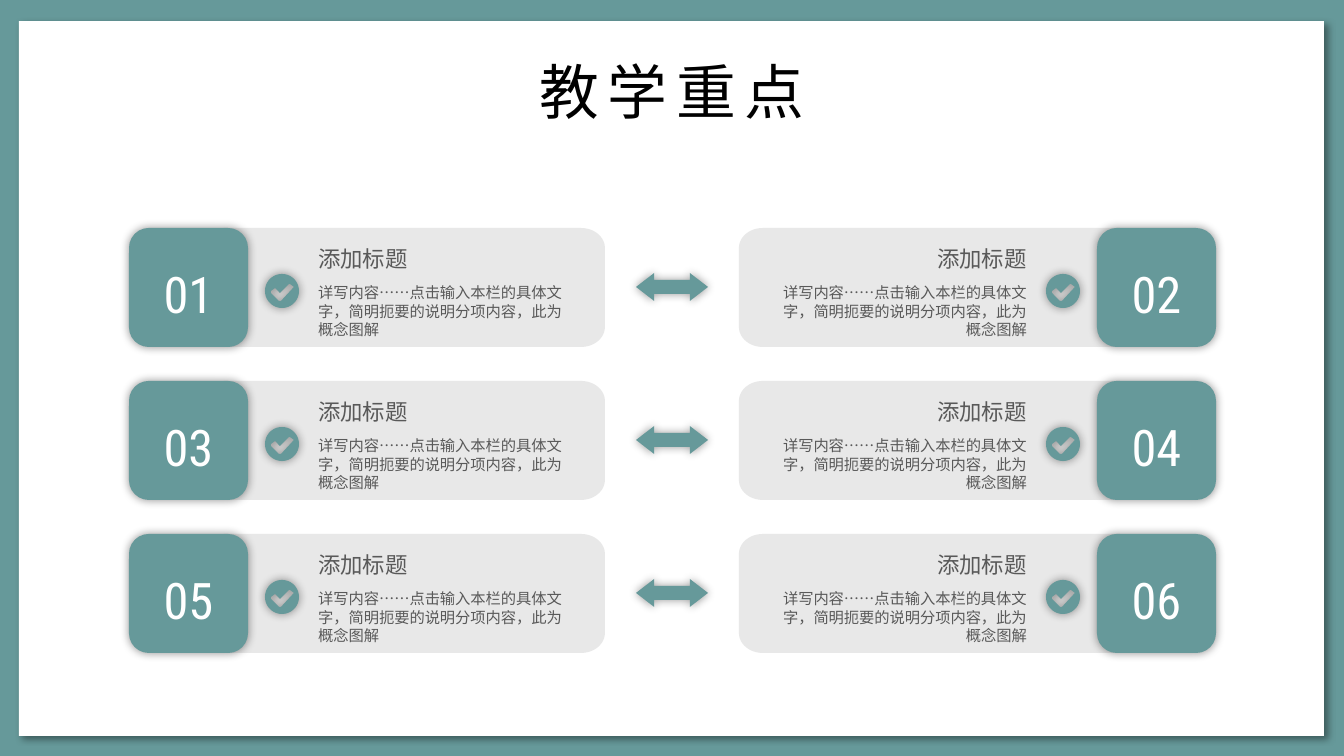
from dataclasses import dataclass
from math import cos, pi, sin

from pptx import Presentation
from pptx.dml.color import RGBColor
from pptx.enum.shapes import MSO_SHAPE
from pptx.enum.text import MSO_ANCHOR, MSO_AUTO_SIZE, PP_ALIGN
from pptx.oxml import parse_xml
from pptx.oxml.ns import nsdecls, qn
from pptx.util import Pt
from lxml.etree import SubElement

EMU_PER_PX = 914400 / 134.4
WIDTH, HEIGHT = 1344, 756
MIRROR = 1345
ROW_TOP, ROW_PITCH, ROWS = 228, 153, 3
TILE_X, TILE = 129, 119
CARD_X, CARD_W = 224, 381
ICON_X, ICON = 265, 34
TEXT_X, HEADING_W, BODY_W = 305, 146, 282
ARROW_W, ARROW_H = 72, 28
CHECK = [(12, -4), (11, -3), (-1, 10), (-3, 10), (-11, 2), (-11, 0),
         (-7, -3), (-2, 2), (7, -7), (8, -7)]
HEADING = "添加标题"
BODY = "详写内容……点击输入本栏的具体文字，简明扼要的说明分项内容，此为概念图解"


@dataclass(frozen=True)
class Theme:
    teal: str = "66999A"
    white: str = "FFFFFF"
    card: str = "E6E6E6"
    grey: str = "595959"
    black: str = "000000"
    cjk: str = "Noto Sans CJK SC"
    digits: str = "Roboto Condensed"
    title: float = 32
    number: float = 27
    heading: float = 12
    body: float = 8.2


def emu(px):
    return round(px * EMU_PER_PX)


def write(tf, text, *, font, size, color, align=PP_ALIGN.LEFT, spacing=None,
          tracking=None):
    p = tf.paragraphs[0]
    p.alignment = align
    if spacing:
        p.line_spacing = spacing
    r = p.add_run()
    r.text = text
    r.font.size, r.font.name = Pt(size), font
    r.font.color.rgb = RGBColor.from_string(color)
    rPr = r.font._element
    SubElement(rPr, qn("a:ea")).set("typeface", font)
    if tracking:
        rPr.set("spc", str(round(tracking * 100)))


def arc(cx, cy, rx, ry, start, end, steps):
    angles = (start + (end - start) * i / steps for i in range(steps + 1))
    return [(cx + rx * cos(a), cy + ry * sin(a)) for a in angles]


class SlideBuilder:
    """Draw themed elements on the current slide."""

    def __init__(self, s, theme):
        self.s, self.theme = s, theme

    def background(self, color):
        fill = self.s.background.fill
        fill.solid()
        fill.fore_color.rgb = RGBColor.from_string(color)

    def finish(self, sp, color, alpha=None, blur=0, dist=0, angle=0):
        sp.fill.solid()
        sp.fill.fore_color.rgb = RGBColor.from_string(color)
        sp.line.fill.background()
        sp.shadow.inherit = False
        if alpha:
            srgb = sp._element.spPr.find(".//" + qn("a:srgbClr"))
            SubElement(srgb, qn("a:alpha")).set("val", str(alpha * 1000))
        if blur:
            effects = sp._element.spPr.find(qn("a:effectLst"))
            effects.append(parse_xml(
                f'<a:outerShdw {nsdecls("a")} blurRad="{Pt(blur)}" dist="{Pt(dist)}" '
                f'dir="{angle * 60000}" algn="ctr" rotWithShape="0">'
                f'<a:srgbClr val="{self.theme.black}"><a:alpha val="40000"/></a:srgbClr>'
                '</a:outerShdw>'))
        return sp

    def shape(self, kind, x, y, w, h, color, **effects):
        sp = self.s.shapes.add_shape(kind, emu(x), emu(y), emu(w), emu(h))
        return self.finish(sp, color, **effects)

    def outline(self, contours, color, **effects):
        paths = [[(emu(x), emu(y)) for x, y in contour] for contour in contours]
        builder = self.s.shapes.build_freeform(*paths[0][0])
        builder.add_line_segments(paths[0][1:])
        for path in paths[1:]:
            builder.move_to(*path[0])
            builder.add_line_segments(path[1:])
        return self.finish(builder.convert_to_shape(), color, **effects)

    def title(self, text, x, y, w, h):
        sp = self.s.shapes.title
        sp.left, sp.top, sp.width, sp.height = map(emu, (x, y, w, h))
        tf = sp.text_frame
        tf.word_wrap, tf.auto_size = True, MSO_AUTO_SIZE.SHAPE_TO_FIT_TEXT
        tf.vertical_anchor = MSO_ANCHOR.TOP
        tf.margin_left = tf.margin_right = emu(12)
        tf.margin_top = tf.margin_bottom = emu(5)
        write(tf, text, font=self.theme.cjk, size=self.theme.title,
              color=self.theme.black, align=PP_ALIGN.CENTER, tracking=4.5)
        sp._element.getparent().append(sp._element)

    def text(self, text, x, y, w, h, size, align):
        tf = self.s.shapes.add_textbox(*map(emu, (x, y, w, h))).text_frame
        tf.word_wrap, tf.auto_size = True, MSO_AUTO_SIZE.SHAPE_TO_FIT_TEXT
        write(tf, text, font=self.theme.cjk, size=size, color=self.theme.grey,
              align=align)

    def card(self, y, flip):
        right, rx, ry = CARD_X + CARD_W, 24, 20
        points = [(CARD_X, y),
                  *arc(right - rx, y + ry, rx, ry, -pi / 2, 0, 16),
                  *arc(right - rx, y + TILE - ry, rx, ry, 0, pi / 2, 16),
                  (CARD_X, y + TILE)]
        if flip:
            points = [(WIDTH - px, py) for px, py in points]
        self.outline([points], self.theme.card, alpha=90)

    def check_icon(self, x, y):
        radius = ICON / 2
        cx, cy = x + radius, y + radius
        circle = arc(cx, cy, radius, radius, 0, 2 * pi, 64)[:-1]
        check = [(cx + dx, cy + dy) for dx, dy in CHECK]
        self.outline([circle, check], self.theme.teal, blur=5)

    def number_tile(self, number, x, y):
        sp = self.shape(MSO_SHAPE.ROUNDED_RECTANGLE, x, y, TILE, TILE,
                        self.theme.teal, blur=5)
        tf = sp.text_frame
        tf.margin_left = tf.margin_right = tf.margin_top = tf.margin_bottom = 0
        tf.vertical_anchor = MSO_ANCHOR.MIDDLE
        write(tf, f"{number:02}", font=self.theme.digits, size=self.theme.number,
              color=self.theme.white, align=PP_ALIGN.CENTER, spacing=1.2)

    def arrow(self, y):
        sp = self.shape(MSO_SHAPE.LEFT_RIGHT_ARROW, (WIDTH - ARROW_W) / 2, y,
                        ARROW_W, ARROW_H, self.theme.teal, blur=5)
        sp.adjustments[0], sp.adjustments[1] = 0.5, 0.65

    def item(self, number, y, flip):
        def place(x, w):
            return MIRROR - x - w if flip else x

        align = PP_ALIGN.RIGHT if flip else PP_ALIGN.LEFT
        self.card(y, flip)
        self.check_icon(place(ICON_X, ICON), y + 46)
        self.number_tile(number, place(TILE_X, TILE), y)
        self.text(HEADING, place(TEXT_X, HEADING_W), y + 11, HEADING_W, 40,
                  self.theme.heading, align)
        self.text(BODY, place(TEXT_X, BODY_W), y + 49, BODY_W, 70,
                  self.theme.body, align)


def main():
    prs = Presentation()
    prs.slide_width, prs.slide_height = emu(WIDTH), emu(HEIGHT)
    theme = Theme()
    b = SlideBuilder(prs.slides.add_slide(prs.slide_layouts[5]), theme)
    b.background(theme.teal)
    b.shape(MSO_SHAPE.RECTANGLE, 19, 21, 1305, 715, theme.white,
            blur=4, dist=3, angle=45)
    for row in range(ROWS):
        y = ROW_TOP + row * ROW_PITCH
        b.item(2 * row + 1, y, flip=False)
        b.item(2 * row + 2, y, flip=True)
        b.arrow(y + 45)
    b.title("教学重点", 359, 50, 626, 85)
    prs.save("out.pptx")


if __name__ == "__main__":
    main()
